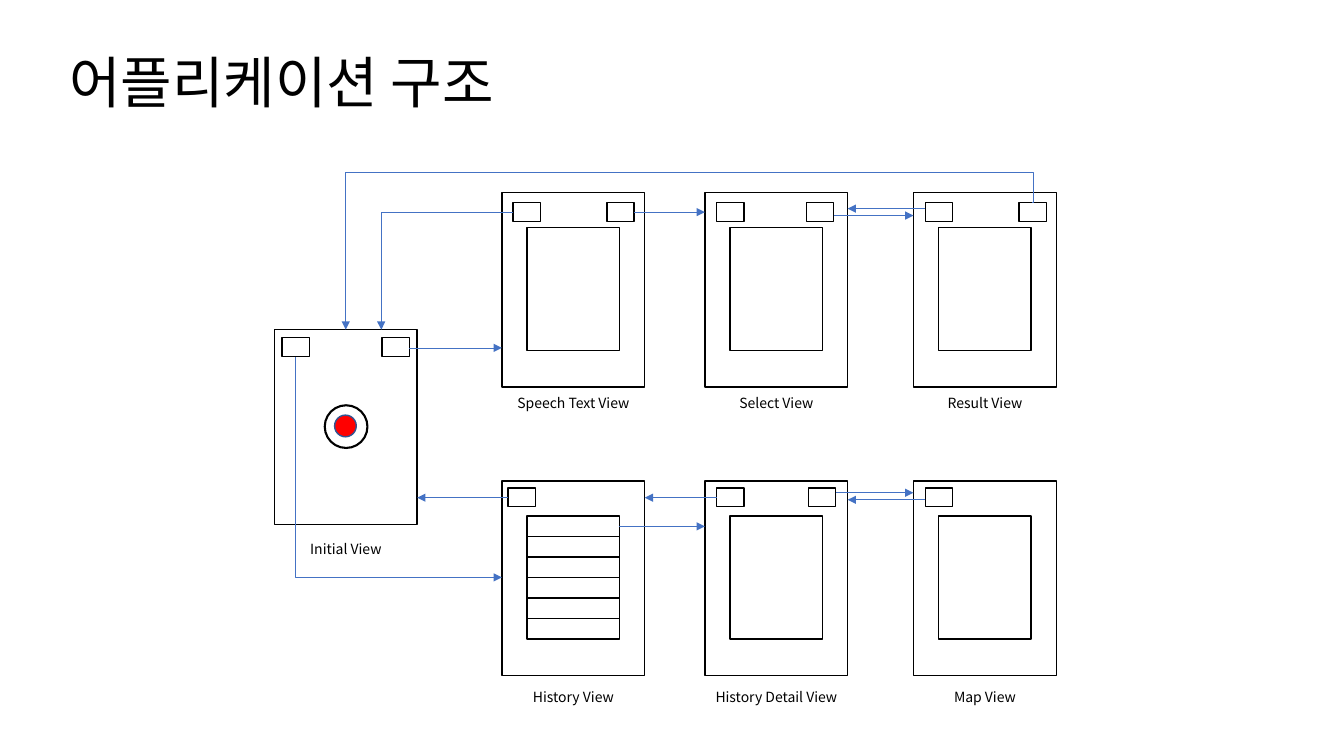
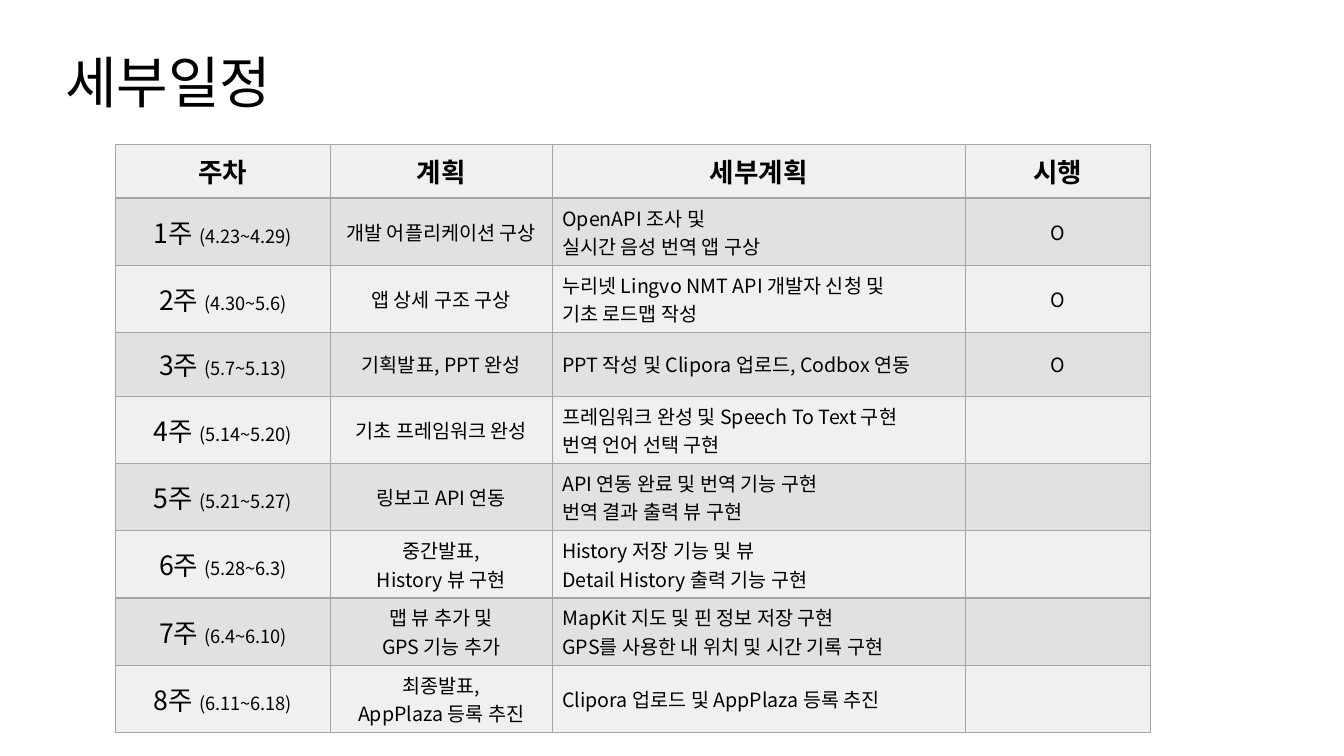
from lxml.etree import SubElement
from pptx import Presentation
from pptx.dml.color import RGBColor
from pptx.enum.shapes import MSO_CONNECTOR as CONNECTOR, MSO_SHAPE as SHAPE
from pptx.enum.text import MSO_ANCHOR as ANCHOR, PP_ALIGN as ALIGN
from pptx.oxml.ns import qn
from pptx.util import Pt

FONT = "Noto Sans CJK KR"
BLACK, RED, DARK_BLUE, BLUE = "000000", "FF0000", "325491", "4472C4"
GREY, LIGHT, BAND = "A5A5A5", "F0F0F0", "E1E1E1"
TITLE_ONLY = 5

SCREEN_WIDTH, SCREEN_HEIGHT = 102, 139
BUTTON_WIDTH, BUTTON_HEIGHT = 19.5, 13.5
PANEL_X, PANEL_Y, PANEL_WIDTH, PANEL_HEIGHT = 18, 25, 66, 88
HISTORY_ROWS = 6
COLUMNS = (358.5, 503.5, 652.5)
TOP_ROW, BOTTOM_ROW = 137.5, 343.5

# name, left, top, button offset down, button offsets across, caption offset, panel rows
SCREENS = [
    ("Initial View", 196, 235.5, 5.5, (5.5, 77), 131, 0),
    ("Speech Text View", COLUMNS[0], TOP_ROW, 7.25, (8, 75), 125.25, 1),
    ("Select View", COLUMNS[1], TOP_ROW, 7.25, (8.5, 72.5), 125.25, 1),
    ("Result View", COLUMNS[2], TOP_ROW, 7.25, (8.5, 75.5), 125.25, 1),
    ("History View", COLUMNS[0], BOTTOM_ROW, 5, (4.5,), 129, HISTORY_ROWS),
    ("History Detail View", COLUMNS[1], BOTTOM_ROW, 5, (8.5, 74), 129, 1),
    ("Map View", COLUMNS[2], BOTTOM_ROW, 5, (8.5,), 129, 1),
]

# start, end
ARROWS = [
    ((292, 248.5), (358.5, 248.5)),
    ((453, 151.5), (503.5, 151.5)),
    ((595.5, 154), (652.5, 154)),
    ((661, 149), (605.5, 149)),
    ((363, 355.5), (298, 355.5)),
    ((512, 355.5), (460.5, 355.5)),
    ((442, 376), (503.5, 376)),
    ((597, 352), (652.5, 352)),
    ((661, 357), (605.5, 357)),
    ((247, 123), (247, 235.5)),
]

# start, end, end that carries the arrowhead
ELBOWS = [
    ((358.5, 412.5), (211, 255), "headEnd"),
    ((247, 123), (737.5, 144.75), None),
    ((366.5, 151.5), (272.5, 235.5), "tailEnd"),
]

HEADERS = ("주차", "계획", "세부계획", "시행")
COLUMN_WIDTHS = (153.5, 158.5, 295, 132.5)
HEADER_HEIGHT, ROW_HEIGHT = 38.25, 45.4
# dates, plan, detailed plan, done
WEEKS = [
    ("4.23~4.29", "개발 어플리케이션 구상", "OpenAPI 조사 및\n실시간 음성 번역 앱 구상", "O"),
    ("4.30~5.6", "앱 상세 구조 구상", "누리넷 Lingvo NMT API 개발자 신청 및\n기초 로드맵 작성", "O"),
    ("5.7~5.13", "기획발표, PPT 완성", "PPT 작성 및 Clipora 업로드, Codbox 연동", "O"),
    ("5.14~5.20", "기초 프레임워크 완성", "프레임워크 완성 및 Speech To Text 구현\n번역 언어 선택 구현", ""),
    ("5.21~5.27", "링보고 API 연동", "API 연동 완료 및 번역 기능 구현\n번역 결과 출력 뷰 구현", ""),
    ("5.28~6.3", "중간발표,\nHistory 뷰 구현", "History 저장 기능 및 뷰\nDetail History 출력 기능 구현", ""),
    ("6.4~6.10", "맵 뷰 추가 및\nGPS 기능 추가", "MapKit 지도 및 핀 정보 저장 구현\nGPS를 사용한 내 위치 및 시간 기록 구현", ""),
    ("6.11~6.18", "최종발표,\nAppPlaza 등록 추진", "Clipora 업로드 및 AppPlaza 등록 추진", ""),
]


def color(hex_code):
    """Turn a hex string into a colour."""
    return RGBColor.from_string(hex_code)


def style_paragraph(paragraph, size, align=ALIGN.CENTER, bold=False):
    """Set alignment and the font, for Latin and Korean text alike."""
    paragraph.alignment = align
    font = paragraph.font
    font.name, font.size, font.bold = FONT, Pt(size), bold
    font.color.rgb = color(BLACK)
    defaults = paragraph._p.pPr.find(qn("a:defRPr"))
    SubElement(defaults, qn("a:ea"), typeface=FONT)


def add_titled_slide(presentation, title, width, align):
    """Add a title-only slide and format its title."""
    slide = presentation.slides.add_slide(presentation.slide_layouts[TITLE_ONLY])
    shape = slide.shapes.title
    shape.left, shape.top, shape.width, shape.height = Pt(39.5), Pt(36), Pt(width), Pt(57)
    frame = shape.text_frame
    frame.text = title
    frame.word_wrap = False
    frame.vertical_anchor = ANCHOR.TOP
    paragraph = frame.paragraphs[0]
    style_paragraph(paragraph, 40, align)
    paragraph.line_spacing = 0.9
    paragraph.space_before = Pt(10)
    return slide


def add_outline(slide, kind, left, top, width, height, line=BLACK, weight=1, fill=None):
    """Add an outlined shape, hollow unless a fill is given."""
    shape = slide.shapes.add_shape(kind, Pt(left), Pt(top), Pt(width), Pt(height))
    shape.shadow.inherit = False
    shape.line.color.rgb = color(line)
    shape.line.width = Pt(weight)
    if fill:
        shape.fill.solid()
        shape.fill.fore_color.rgb = color(fill)
    else:
        shape.fill.background()


def add_caption(slide, text, left, top):
    """Add the name below a screen."""
    box = slide.shapes.add_textbox(Pt(left - 4), Pt(top), Pt(SCREEN_WIDTH + 8), Pt(32.5))
    frame = box.text_frame
    frame.word_wrap = True
    frame.vertical_anchor = ANCHOR.MIDDLE
    frame.text = text
    paragraph = frame.paragraphs[0]
    style_paragraph(paragraph, 10)
    paragraph.line_spacing = 2.5
    paragraph.space_before = Pt(10)


def add_screen(slide, name, left, top, button_y, button_offsets, caption_y, panel_rows):
    """Add a wireframe screen with buttons, panel rows and caption."""
    add_outline(slide, SHAPE.RECTANGLE, left, top, SCREEN_WIDTH, SCREEN_HEIGHT)
    for offset in button_offsets:
        add_outline(slide, SHAPE.RECTANGLE, left + offset, top + button_y,
                    BUTTON_WIDTH, BUTTON_HEIGHT)
    for row in range(panel_rows):
        height = PANEL_HEIGHT / panel_rows
        add_outline(slide, SHAPE.RECTANGLE, left + PANEL_X, top + PANEL_Y + row * height,
                    PANEL_WIDTH, height)
    add_caption(slide, name, left, top + caption_y)


def add_link(slide, start, end, kind=CONNECTOR.STRAIGHT, arrow="tailEnd"):
    """Connect two points; an elbow runs across first, then up or down."""
    connector = slide.shapes.add_connector(kind, *(Pt(value) for value in start + end))
    connector.line.color.rgb = color(BLUE)
    connector.line.width = Pt(0.5)
    properties = connector._element.spPr
    if arrow:
        SubElement(properties.find(qn("a:ln")), qn(f"a:{arrow}"), type="triangle")
    if kind == CONNECTOR.ELBOW:
        adjustments = properties.find(qn("a:prstGeom")).get_or_add_avLst()
        SubElement(adjustments, qn("a:gd"), name="adj1", fmla="val 100200")
    SubElement(properties, qn("a:effectLst"))


def format_cell(cell, fill):
    """Give a cell its borders, fill and anchor."""
    properties = cell._tc.get_or_add_tcPr()
    for side in ("lnL", "lnR", "lnT", "lnB"):
        border = SubElement(properties, qn(f"a:{side}"), w=str(Pt(1)))
        solid = SubElement(border, qn("a:solidFill"))
        SubElement(solid, qn("a:srgbClr"), val=GREY)
    cell.fill.solid()
    cell.fill.fore_color.rgb = color(fill)
    cell.vertical_anchor = ANCHOR.MIDDLE


def write_cell(cell, text, size=14, align=ALIGN.CENTER, bold=False):
    """Write text into a cell, one paragraph a line."""
    cell.text_frame.text = text
    for paragraph in cell.text_frame.paragraphs:
        style_paragraph(paragraph, size, align, bold)


def write_week(cell, number, dates):
    """Write the week number with its smaller dates."""
    write_cell(cell, f"{number}주 ", 19)
    run = cell.text_frame.paragraphs[0].add_run()
    run.text = f"({dates})"
    run.font.size = Pt(13)


def add_schedule(slide):
    """Add the table of weekly plans."""
    height = HEADER_HEIGHT + ROW_HEIGHT * len(WEEKS)
    table = slide.shapes.add_table(len(WEEKS) + 1, len(HEADERS), Pt(82.5), Pt(103.25),
                                   Pt(sum(COLUMN_WIDTHS)), Pt(height)).table
    table.first_row = table.horz_banding = False
    for column, width in zip(table.columns, COLUMN_WIDTHS):
        column.width = Pt(width)
    for index, row in enumerate(table.rows):
        row.height = Pt(ROW_HEIGHT if index else HEADER_HEIGHT)
        for cell in row.cells:
            format_cell(cell, BAND if index % 2 else LIGHT)
    for column, header in enumerate(HEADERS):
        write_cell(table.cell(0, column), header, 19, bold=True)
    for number, (dates, plan, details, done) in enumerate(WEEKS, 1):
        write_week(table.cell(number, 0), number, dates)
        write_cell(table.cell(number, 1), plan)
        write_cell(table.cell(number, 2), details, align=ALIGN.LEFT)
        write_cell(table.cell(number, 3), done)


def add_structure(slide):
    """Add the screens, the record button and the links between them."""
    for screen in SCREENS:
        add_screen(slide, *screen)
    add_outline(slide, SHAPE.OVAL, 232, 289.5, 30.5, 30.5, weight=1.5)
    add_outline(slide, SHAPE.OVAL, 239, 296.5, 15.5, 15.5, DARK_BLUE, fill=RED)
    for start, end in ARROWS:
        add_link(slide, start, end)
    for start, end, arrow in ELBOWS:
        add_link(slide, start, end, CONNECTOR.ELBOW, arrow)


def main():
    """Build and save the presentation."""
    presentation = Presentation()
    presentation.slide_width, presentation.slide_height = Pt(960), Pt(540)
    add_structure(add_titled_slide(presentation, "어플리케이션 구조", 323.5, ALIGN.CENTER))
    add_schedule(add_titled_slide(presentation, "세부일정", 167, ALIGN.LEFT))
    presentation.save("out.pptx")


main()
